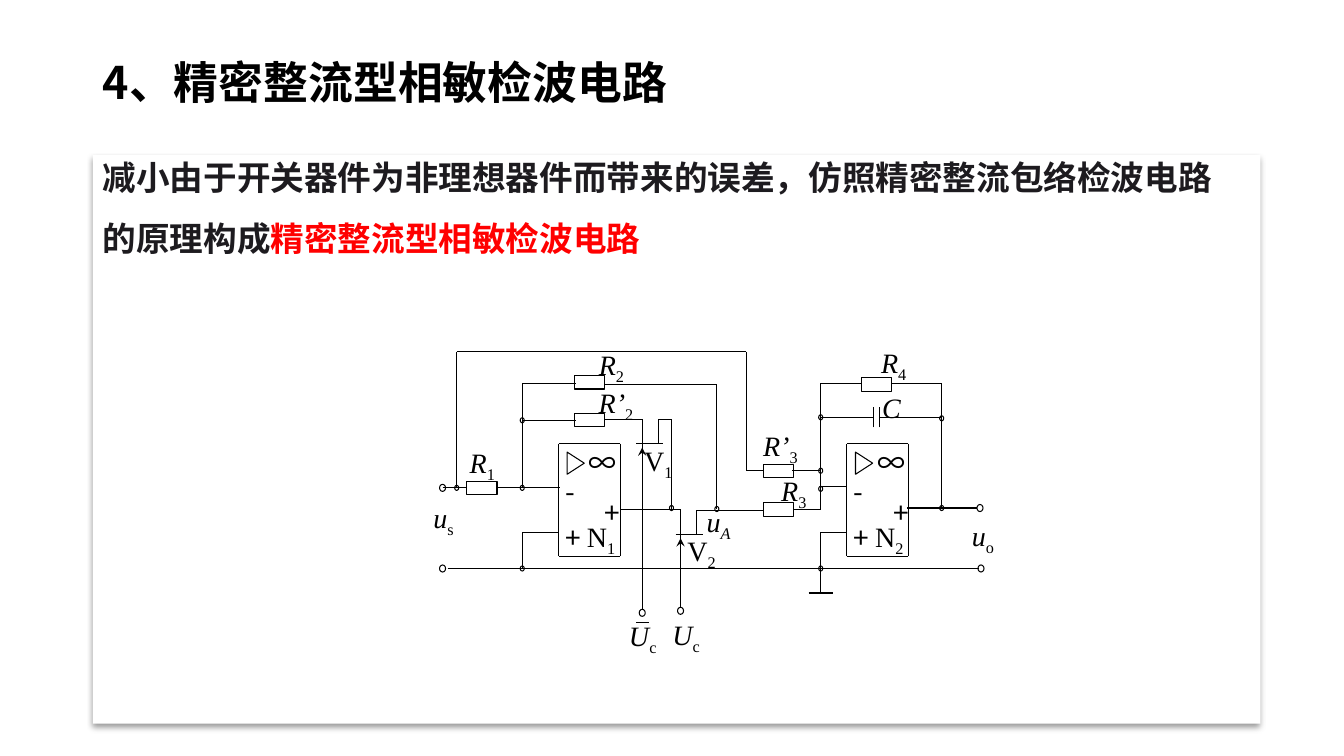
from dataclasses import dataclass
from itertools import pairwise

from lxml.etree import SubElement
from pptx import Presentation
from pptx.dml.color import RGBColor
from pptx.enum.shapes import MSO_CONNECTOR, MSO_SHAPE
from pptx.enum.text import MSO_ANCHOR, PP_ALIGN
from pptx.oxml.ns import qn
from pptx.util import Inches, Pt

BLACK = RGBColor(0x00, 0x00, 0x00)
WHITE = RGBColor(0xFF, 0xFF, 0xFF)
INK = RGBColor(0x1D, 0x1B, 0x1F)
RED = RGBColor(0xFF, 0x00, 0x00)
SANS = "Noto Sans CJK SC"
SERIF = "Times New Roman"


@dataclass(frozen=True)
class Label:
    x: float
    y: float
    w: float
    h: float
    name: str
    sub: str = ""
    italic: bool = True
    sub_italic: bool = False


@dataclass(frozen=True)
class OpAmp:
    x: float
    sub: str


LABELS = [
    Label(8.65, 3.82, 0.39, 0.49, "C"),
    Label(8.64, 3.38, 0.56, 0.51, "R", "4"),
    Label(9.54, 5.09, 0.45, 0.51, "u", "o"),
    Label(4.56, 4.37, 0.55, 0.51, "R", "1"),
    Label(5.84, 3.77, 0.74, 0.62, "R’", "2"),
    Label(5.84, 3.4, 0.61, 0.5, "R", "2"),
    Label(7.65, 4.65, 0.54, 0.48, "R", "3"),
    Label(7.47, 4.2, 0.81, 0.41, "R’", "3"),
    Label(6.57, 6.08, 0.5, 0.49, "U", "c"),
    Label(6.14, 6.09, 0.5, 0.49, "U", "c"),
    Label(4.2, 4.92, 0.45, 0.58, "u", "s"),
    Label(6.91, 4.96, 0.53, 0.46, "u", "A", sub_italic=True),
    Label(6.29, 4.35, 0.61, 0.49, "V", "1", italic=False),
    Label(6.72, 5.24, 0.54, 0.49, "V", "2", italic=False),
]
OP_AMPS = [OpAmp(5.54, "1"), OpAmp(8.4, "2")]
RESISTORS = [(4.63, 4.78), (5.7, 3.73), (5.7, 4.1), (7.57, 4.61), (7.57, 4.99), (8.54, 3.75)]
JUNCTIONS = [
    (4.53, 4.84), (5.18, 4.84), (5.18, 4.17), (5.18, 5.64), (6.66, 5.04), (7.11, 5.05),
    (8.14, 4.14), (8.14, 4.67), (8.14, 4.85), (8.14, 5.64), (9.34, 4.15), (9.34, 5.04),
]
TERMINALS = [(4.39, 4.84), (4.39, 5.64), (9.72, 5.04), (9.73, 5.64), (6.75, 6.06), (6.37, 6.08)]
# Each route is a run of points joined by straight wires.
ROUTES = [
    # input, ground rail and feed-forward path
    [(4.39, 4.84), (4.63, 4.84)],
    [(4.93, 4.84), (5.55, 4.84)],
    [(4.44, 5.64), (9.71, 5.64)],
    [(4.53, 4.84), (4.53, 3.49), (7.4, 3.49), (7.4, 4.67), (7.57, 4.67)],
    # feedback of the first stage
    [(5.18, 4.84), (5.18, 3.8), (5.71, 3.8)],
    [(5.18, 4.17), (5.71, 4.17)],
    [(5.54, 5.28), (5.18, 5.28), (5.18, 5.64)],
    [(6, 3.81), (7.11, 3.81), (7.11, 5.05)],
    # switch V1
    [(6, 4.16), (6.37, 4.16), (6.37, 6.04)],
    [(6.31, 4.4), (6.58, 4.4)],
    [(6.53, 4.4), (6.53, 4.16), (6.66, 4.16), (6.66, 5.05)],
    # switch V2
    [(6.16, 5.05), (6.75, 5.05), (6.75, 6.02)],
    [(6.7, 5.3), (6.97, 5.3)],
    [(6.91, 5.3), (6.91, 5.06), (7.57, 5.06)],
    # second stage
    [(7.86, 4.67), (8.13, 4.67)],
    [(7.87, 5.05), (8.14, 5.05), (8.14, 3.8), (8.54, 3.8)],
    [(8.84, 3.8), (9.34, 3.8), (9.34, 5.05)],
    [(8.14, 4.14), (8.66, 4.14)],
    [(8.73, 4.14), (9.34, 4.14)],
    [(8.66, 4.24), (8.66, 4.04)],
    [(8.72, 4.24), (8.72, 4.04)],
    [(8.14, 4.83), (8.4, 4.83)],
    [(8.4, 5.28), (8.14, 5.28), (8.14, 5.88)],
    [(9, 5.04), (9.69, 5.04)],
]

prs = Presentation()
prs.slide_width, prs.slide_height = Inches(13.33), Inches(7.5)
s = prs.slides.add_slide(prs.slide_layouts[6])


def add_run(p, text: str, *, size: float = 20, font: str = SERIF, color: RGBColor = BLACK,
            bold: bool = False, italic: bool = False, sub: bool = False) -> None:
    r = p.add_run()
    r.text = text
    f = r.font
    f.size, f.name, f.bold, f.italic = Pt(size), font, bold, italic
    f.color.rgb = color
    SubElement(f._element, qn("a:ea")).set("typeface", font)
    if sub:
        f._element.set("baseline", "-25000")


def add_box(x: float, y: float, w: float, h: float, *, inset: bool = True,
            align: PP_ALIGN = PP_ALIGN.JUSTIFY, spacing: float = 1.0,
            anchor: MSO_ANCHOR = MSO_ANCHOR.TOP):
    """Add a wrapping text box and return its first paragraph."""
    tf = s.shapes.add_textbox(Inches(x), Inches(y), Inches(w), Inches(h)).text_frame
    tf.word_wrap = True
    tf.vertical_anchor = anchor
    if not inset:
        tf.margin_left = tf.margin_right = tf.margin_top = tf.margin_bottom = 0
    p = tf.paragraphs[0]
    p.alignment, p.line_spacing = align, spacing
    return p


def add_wire(start: tuple, end: tuple, *, width: float = 0.75, arrow: bool = False) -> None:
    c = s.shapes.add_connector(MSO_CONNECTOR.STRAIGHT, *map(Inches, start + end))
    c.line.color.rgb = BLACK
    c.line.width = Pt(width)
    if arrow:
        SubElement(c.line._get_or_add_ln(), qn("a:headEnd")).set("type", "stealth")
    SubElement(c._element.spPr, qn("a:effectLst"))


def add_part(kind: MSO_SHAPE, x: float, y: float, w: float, h: float, rotation: float = 0) -> None:
    """Add an unfilled circuit symbol."""
    sp = s.shapes.add_shape(kind, Inches(x), Inches(y), Inches(w), Inches(h))
    sp.shadow.inherit = False
    sp.fill.background()
    sp.line.color.rgb = BLACK
    sp.line.width = Pt(0.75)
    sp.rotation = rotation


def add_dot(center: tuple, w: float, h: float) -> None:
    add_part(MSO_SHAPE.OVAL, center[0] - w / 2, center[1] - h / 2, w, h)


def add_panel() -> None:
    """Add the white content panel with its soft drop shadow."""
    sp = s.shapes.add_shape(MSO_SHAPE.RECTANGLE, Inches(0.92), Inches(1.54), Inches(11.58), Inches(5.64))
    sp.fill.solid()
    sp.fill.fore_color.rgb = WHITE
    sp.line.fill.background()
    sp.shadow.inherit = False
    effects = sp._element.spPr.find(qn("a:effectLst"))
    shadow = SubElement(effects, qn("a:outerShdw"), blurRad=str(Pt(4)), dist=str(Pt(3)),
                        dir="5400000", algn="t", rotWithShape="0")
    color = SubElement(shadow, qn("a:srgbClr"), val=str(BLACK))
    SubElement(color, qn("a:alpha"), val="40000")


def add_op_amp(amp: OpAmp) -> None:
    left, right, top, bottom = amp.x, amp.x + 0.61, 4.4, 5.52
    corners = [(left, top), (right, top), (right, bottom), (left, bottom), (left, top)]
    for start, end in pairwise(corners):
        add_wire(start, end)
    add_part(MSO_SHAPE.ISOSCELES_TRIANGLE, left + 0.06, 4.51, 0.22, 0.17, 90)
    for sign, dx, y, w, h in [("∞", 0.3, 4.42, 0.18, 0.2), ("-", 0.07, 4.71, 0.17, 0.28),
                              ("+", 0.07, 5.16, 0.14, 0.24), ("+", 0.46, 4.92, 0.15, 0.22)]:
        add_run(add_box(left + dx, y, w, h, inset=False), sign, font=SANS)
    p = add_box(left + 0.28, 5.15, 0.37, 0.3, inset=False)
    add_run(p, "N")
    add_run(p, amp.sub, sub=True)


def add_label(label: Label) -> None:
    p = add_box(label.x, label.y, label.w, label.h)
    add_run(p, label.name, italic=label.italic)
    if label.sub:
        add_run(p, label.sub, italic=label.sub_italic, sub=True)


add_panel()
p = add_box(0.92, 0.52, 11.5, 0.65, align=PP_ALIGN.LEFT, spacing=0.9, anchor=MSO_ANCHOR.MIDDLE)
add_run(p, "4、精密整流型相敏检波电路", size=32, font=SANS, bold=True)
p = add_box(0.92, 1.31, 11.5, 5.44, align=PP_ALIGN.LEFT, spacing=1.5)
add_run(p, "减小由于开关器件为非理想器件而带来的误差，仿照精密整流包络检波电路的原理构成",
        size=24, font=SANS, color=INK, bold=True)
add_run(p, "精密整流型相敏检波电路", size=24, font=SANS, color=RED, bold=True)

for route in ROUTES:
    for start, end in pairwise(route):
        add_wire(start, end)
add_wire((8.02, 5.88), (8.26, 5.88), width=1.5)
add_wire((6.31, 6.17), (6.44, 6.17), width=0.5)
for x, y in [(6.37, 4.44), (6.75, 5.34)]:
    add_wire((x, y), (x, y + 0.12), arrow=True)
for x, y in RESISTORS:
    add_part(MSO_SHAPE.RECTANGLE, x, y, 0.3, 0.13)
for center in JUNCTIONS:
    add_dot(center, 0.04, 0.05)
for center in TERMINALS:
    add_dot(center, 0.06, 0.07)
for amp in OP_AMPS:
    add_op_amp(amp)
for label in LABELS:
    add_label(label)

prs.save("out.pptx")
